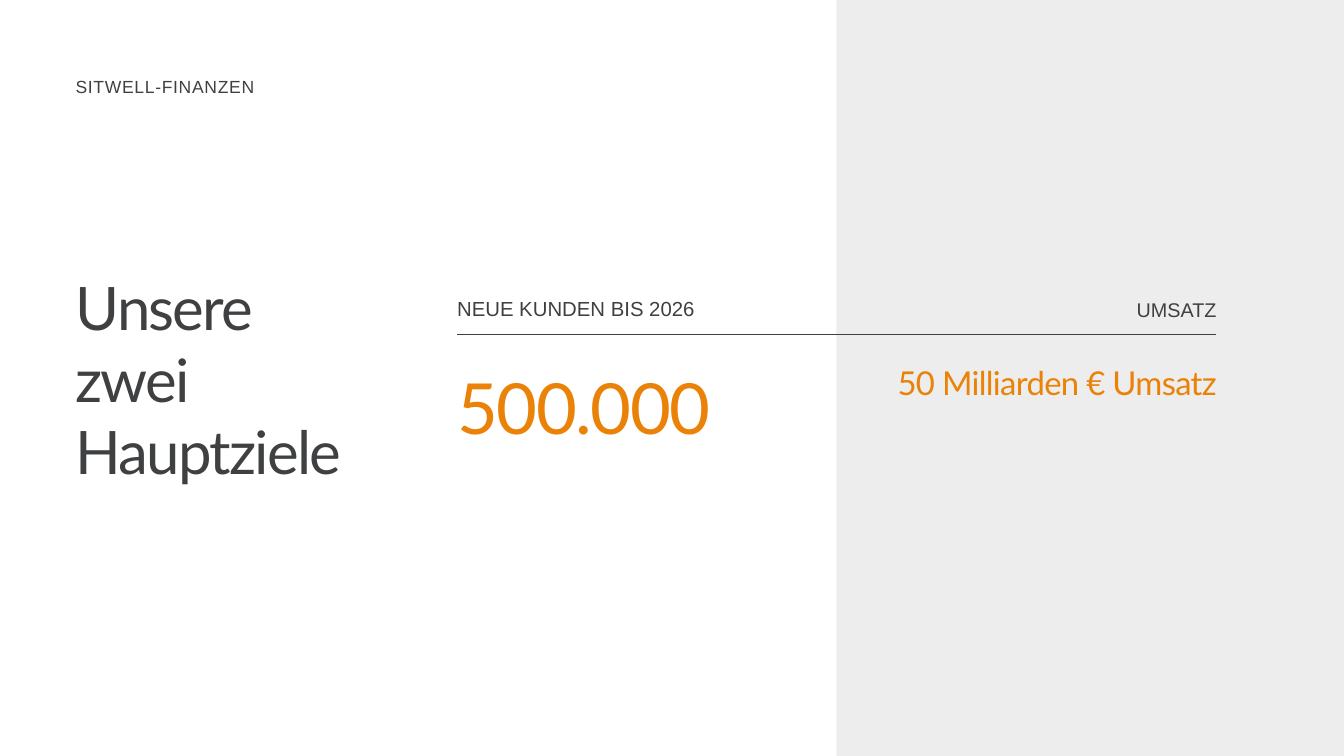
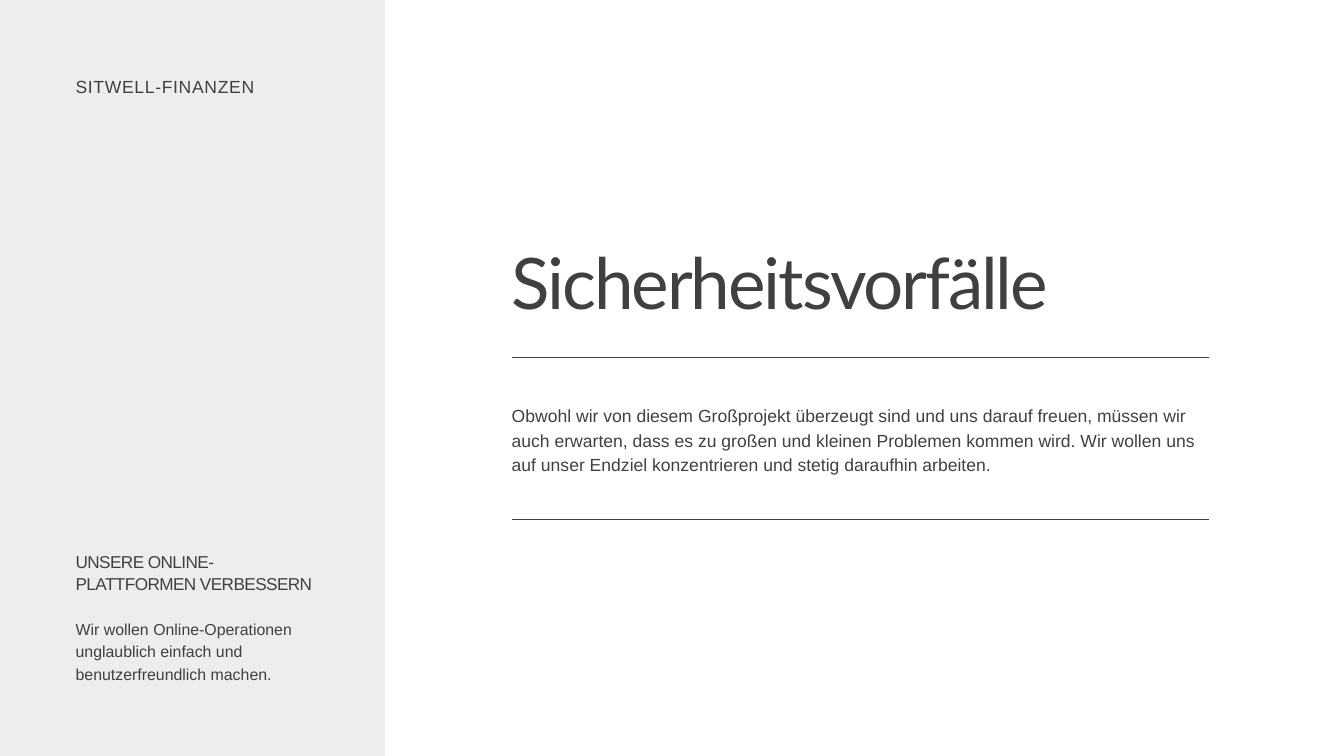
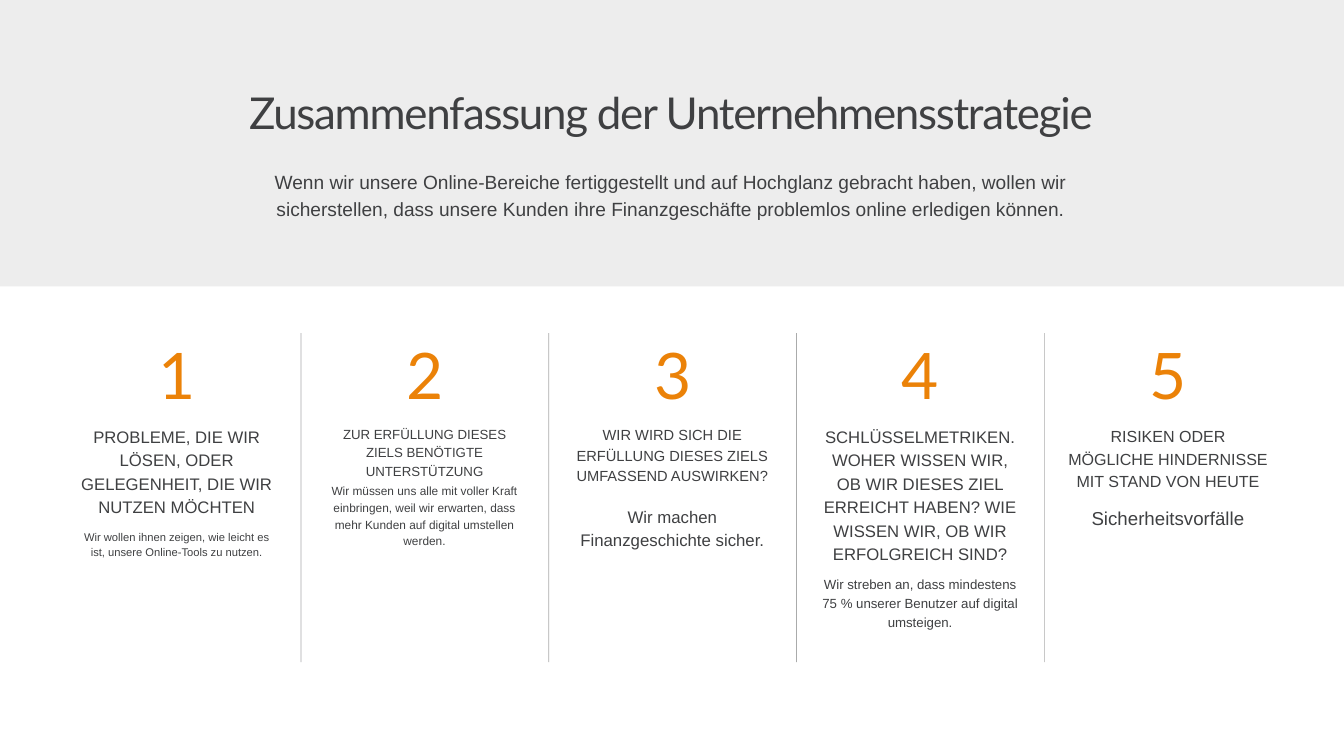
from pptx import Presentation
from pptx.dml.color import RGBColor
from pptx.enum.shapes import MSO_CONNECTOR as CONN, MSO_SHAPE as SHAPE
from pptx.enum.text import MSO_ANCHOR as ANCHOR, MSO_AUTO_SIZE as AUTO, PP_ALIGN as ALIGN
from pptx.oxml.ns import qn
from pptx.util import Pt
from lxml.etree import SubElement

PX = 9525  # EMU per px
W, H = 1920, 1080
MARGIN = 108
INK, ORANGE, GREY = "3F4042", "EB8208", "EDEDED"
HEAD_FONT, BODY_FONT = "Lato", "Arial"
BRAND = "SITWELL-FINANZEN"
color = RGBColor.from_string


def write(s, text, box, size, leading, font=BODY_FONT, fill=INK, align=ALIGN.LEFT,
          spacing=0, ph=None):
    """Write text in a new text box, or in placeholder number ph."""
    x, y, w, h = (v * PX for v in box)
    if ph is None:
        sp = s.shapes.add_textbox(x, y, w, h)
    else:
        sp = s.placeholders[ph]
        sp.left, sp.top, sp.width, sp.height = x, y, w, h
    tf = sp.text_frame
    tf.word_wrap, tf.auto_size, tf.vertical_anchor = True, AUTO.NONE, ANCHOR.TOP
    tf.margin_left = tf.margin_top = tf.margin_right = tf.margin_bottom = 0
    p = tf.paragraphs[0]
    p.alignment, p.line_spacing, p.space_before = align, Pt(leading), Pt(0)
    if ph:  # body placeholder: no bullet, no indent
        pPr = p._p.get_or_add_pPr()
        pPr.set("marL", "0")
        pPr.set("indent", "0")
        SubElement(pPr, qn("a:buNone"))
    r = p.add_run()
    r.text = text
    r.font.name, r.font.size = font, Pt(size)
    r.font.color.rgb = color(fill)
    if spacing:
        r._r.get_or_add_rPr().set("spc", str(round(spacing * 100)))


def rule(s, x1, y1, x2, y2, alpha=None):
    """Draw a thin line, with an optional opacity in percent."""
    c = s.shapes.add_connector(CONN.STRAIGHT, x1 * PX, y1 * PX, x2 * PX, y2 * PX)
    c.line.width = PX
    c.line.color.rgb = color(INK)
    spPr = c._element.spPr
    if alpha:
        SubElement(spPr.find(".//" + qn("a:srgbClr")), qn("a:alpha"), val=str(alpha * 1000))
    SubElement(spPr, qn("a:effectLst"))


prs = Presentation()
prs.slide_width, prs.slide_height = W * PX, H * PX

# Slides, each with a grey band behind its text
slides = []
for layout, band in [(5, (1195, 0, W - 1195, H)),
                     (1, (0, 0, 550, H)),
                     (1, (0, 0, W, 409))]:
    s = prs.slides.add_slide(prs.slide_layouts[layout])
    sp = s.shapes.add_shape(SHAPE.RECTANGLE, *(v * PX for v in band))
    sp.shadow.inherit = False
    sp.fill.solid()
    sp.fill.fore_color.rgb = color(GREY)
    sp.line.fill.background()
    s.shapes.element.insert(2, sp._element)
    slides.append(s)
goals, incidents, summary = slides

# Company name on the first two slides
for s in (goals, incidents):
    write(s, BRAND, (MARGIN, 108, 420, 30), 18.8, 22.6, spacing=0.7)

# Slide 1: two main goals
write(goals, "Unsere zwei Hauptziele", (MARGIN, 386, 381, 308), 64.2, 77.1,
      font=HEAD_FONT, spacing=-1.9, ph=0)
write(goals, "NEUE KUNDEN BIS 2026", (653, 417, 483, 38), 21.8, 30.5)
write(goals, "500.000", (653, 500, 483, 137), 75.5, 105.7,
      font=HEAD_FONT, fill=ORANGE, spacing=-1.5)
write(goals, "UMSATZ", (1255, 419, 483, 36), 21.2, 29.8, align=ALIGN.RIGHT)
write(goals, "50 Milliarden € Umsatz", (1255, 508, 483, 63), 35.2, 49.3,
      font=HEAD_FONT, fill=ORANGE, align=ALIGN.RIGHT, spacing=-0.7)
rule(goals, 653, 478, 1737, 478)

# Slide 2: security incidents
write(incidents, "UNSERE ONLINE-PLATTFORMEN VERBESSERN", (MARGIN, 785, 343, 60),
      18.4, 23.9, spacing=-0.6)
write(incidents, "Wir wollen Online-Operationen unglaublich einfach und "
      "benutzerfreundlich machen.", (MARGIN, 881, 343, 90), 17, 23.8)
write(incidents, "Sicherheitsvorfälle", (731, 330, 996, 128), 76.1, 98.9,
      font=HEAD_FONT, spacing=-2.3, ph=0)
write(incidents, "Obwohl wir von diesem Großprojekt überzeugt sind und uns darauf freuen, "
      "müssen wir auch erwarten, dass es zu großen und kleinen Problemen kommen wird. "
      "Wir wollen uns auf unser Endziel konzentrieren und stetig daraufhin arbeiten.",
      (731, 574, 996, 103), 18.8, 26.2, ph=1)
for y in (511, 742):
    rule(incidents, 731, y, 1727, y)

# Slide 3: heading
write(summary, "Zusammenfassung der Unternehmensstrategie", (348, 116, 1221, 80), 47, 61,
      font=HEAD_FONT, align=ALIGN.CENTER, spacing=-1.4, ph=0)
write(summary, "Wenn wir unsere Online-Bereiche fertiggestellt und auf Hochglanz gebracht haben, "
      "wollen wir sicherstellen, dass unsere Kunden ihre Finanzgeschäfte problemlos online "
      "erledigen können.", (348, 238, 1221, 74), 20.5, 28.7, align=ALIGN.CENTER, ph=1)

# Slide 3: numbered columns (heading, size, leading, text, size, leading, top of text)
columns = [
    ("PROBLEME, DIE WIR LÖSEN, ODER GELEGENHEIT, DIE WIR NUTZEN MÖCHTEN", 17.9, 25.1,
     "Wir wollen ihnen zeigen, wie leicht es ist, unsere Online-Tools zu nutzen.", 12, 16.8, 754),
    ("ZUR ERFÜLLUNG DIESES ZIELS BENÖTIGTE UNTERSTÜTZUNG", 14.2, 19.8,
     "Wir müssen uns alle mit voller Kraft einbringen, weil wir erwarten, dass mehr Kunden "
     "auf digital umstellen werden.", 12.7, 17.8, 688),
    ("WIR WIRD SICH DIE ERFÜLLUNG DIESES ZIELS UMFASSEND AUSWIRKEN?", 15.7, 21.9,
     "Wir machen Finanzgeschichte sicher.", 18, 25.2, 719),
    ("SCHLÜSSELMETRIKEN. WOHER WISSEN WIR, OB WIR DIESES ZIEL ERREICHT HABEN? "
     "WIE WISSEN WIR, OB WIR ERFOLGREICH SIND?", 17.9, 25.1,
     "Wir streben an, dass mindestens 75 % unserer Benutzer auf digital umsteigen.",
     14.2, 19.9, 820),
    ("RISIKEN ODER MÖGLICHE HINDERNISSE MIT STAND VON HEUTE", 17.2, 24,
     "Sicherheitsvorfälle", 20, 28, 719),
]
COL_W, PITCH = 289, 354
for i, (head, head_size, head_lead, text, size, lead, top) in enumerate(columns):
    x = MARGIN + i * PITCH
    write(summary, str(i + 1), (x + 115, 470, 60, 115), 68.7, 89.3,
          font=HEAD_FONT, fill=ORANGE, align=ALIGN.CENTER, spacing=6.9)
    write(summary, head, (x, 605, COL_W, top - 615), head_size, head_lead, align=ALIGN.CENTER)
    write(summary, text, (x, top, COL_W, 90), size, lead, align=ALIGN.CENTER)
    if i:
        rule(summary, x - 32, 476, x - 32, 946, alpha=44)

prs.save("out.pptx")
